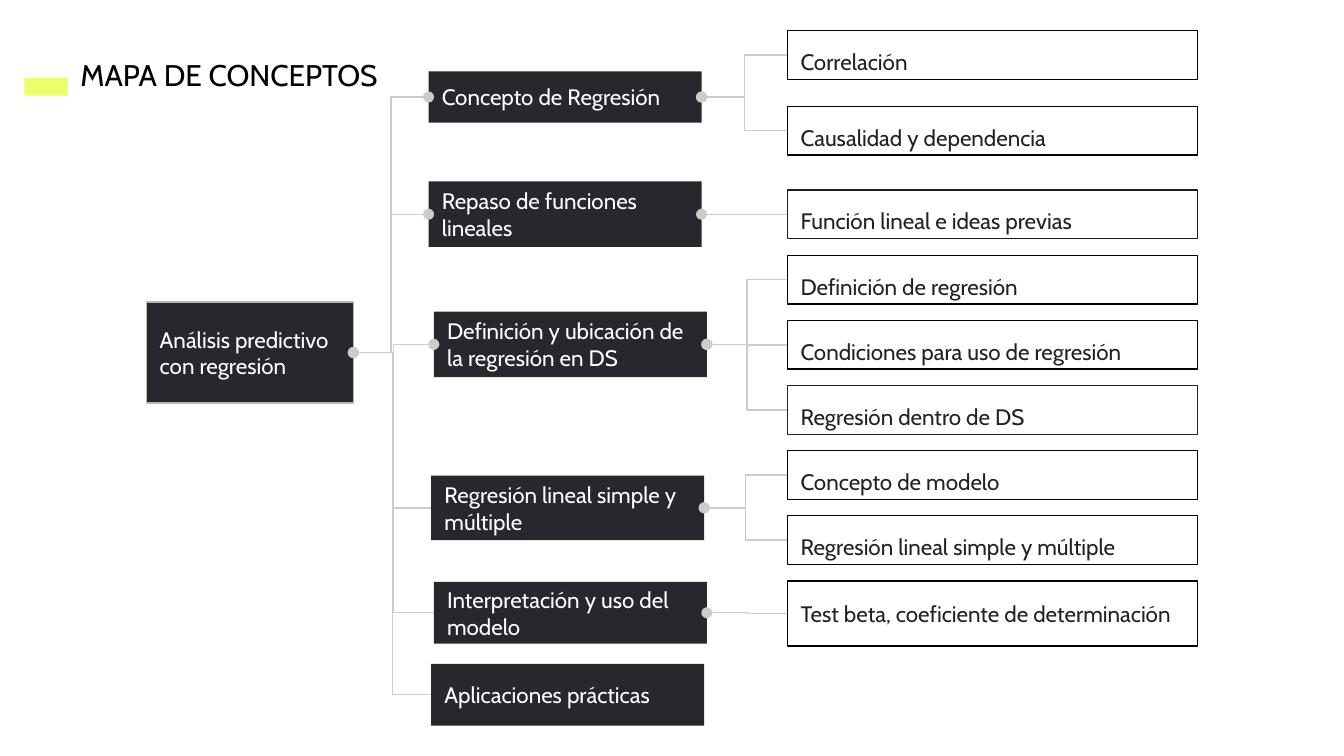
from pptx import Presentation
from pptx.dml.color import RGBColor
from pptx.enum.shapes import MSO_CONNECTOR, MSO_SHAPE
from pptx.enum.text import MSO_ANCHOR, MSO_AUTO_SIZE, PP_ALIGN
from pptx.oxml.ns import qn
from pptx.util import Cm, Pt
from lxml.etree import SubElement

DARK = RGBColor(0x27, 0x28, 0x2D)
WHITE = RGBColor(0xFF, 0xFF, 0xFF)
BLACK = RGBColor(0, 0, 0)
INK = RGBColor(0x22, 0x22, 0x22)
SOOT = RGBColor(0x1D, 0x1C, 0x1D)
GRAY = RGBColor(0xCC, 0xCC, 0xCC)
EDGE = RGBColor(0xB7, 0xB7, 0xB7)
LIME = RGBColor(0xEA, 0xFF, 0x6A)

LEFT, RIGHT = 1, 3  # sides of a box
PLAIN = {"alignment": PP_ALIGN.LEFT}
LOOSE = {"alignment": PP_ALIGN.JUSTIFY, "line_spacing": 1.5,
         "space_after": Pt(10)}
FRAME = {"word_wrap": True, "margin_left": Cm(0.25), "margin_right": Cm(0.25),
         "margin_top": Cm(0.25), "margin_bottom": Cm(0.25)}


def apply(item, form):
    for key, value in form.items():
        setattr(item, key, value)


class Sketch:
    font = "Cabin"
    line = Pt(0.75)

    def __init__(self, slide):
        self.slide = slide

    def label(self, shape, text, color, size=12, para=PLAIN, **frame):
        body = shape.text_frame
        apply(body, {**FRAME, **frame})
        first = body.paragraphs[0]
        apply(first, para)
        run = first.add_run()
        run.text = text
        apply(run.font, {"name": self.font, "size": Pt(size)})
        run.font.color.rgb = color

    def block(self, x, y, wide, high, fill, edge=None):
        shape = self.slide.shapes.add_shape(
            MSO_SHAPE.RECTANGLE, Cm(x), Cm(y), Cm(wide), Cm(high))
        shape.shadow.inherit = False
        shape.fill.solid()
        shape.fill.fore_color.rgb = fill
        if edge is None:
            shape.line.fill.background()
        else:
            shape.line.color.rgb = edge
            shape.line.width = self.line
        return shape

    def box(self, text, place, fill, color, edge=None, para=PLAIN):
        shape = self.block(*place, fill, edge)
        self.label(shape, text, color, para=para,
                   vertical_anchor=MSO_ANCHOR.MIDDLE)
        return shape

    def title(self, text, x, y, wide, high):
        shape = self.slide.shapes.add_textbox(
            Cm(x), Cm(y), Cm(wide), Cm(high))
        self.label(shape, text, BLACK, 16,
                   auto_size=MSO_AUTO_SIZE.SHAPE_TO_FIT_TEXT)

    def link(self, start, side, end, goal):
        """Elbow line with a dot where it ends."""
        wire = self.slide.shapes.add_connector(MSO_CONNECTOR.ELBOW, 0, 0, 0, 0)
        wire.begin_connect(start, side)
        wire.end_connect(end, goal)
        wire.line.color.rgb = GRAY
        wire.line.width = self.line
        props = wire._element.spPr
        SubElement(props.find(qn("a:ln")), qn("a:tailEnd"), type="oval")
        SubElement(props, qn("a:effectLst"))


# Topics: text, left, top, height, dot on the topic, leaves
# Leaves: text, top, edge
STEP = 1.23
rows = [4.83 + STEP * i for i in range(6)]
TOPICS = [
    ("Concepto de Regresión", 8.1, 1.35, 0.97, True,
     [("Correlación", 0.58, BLACK),
      ("Causalidad y dependencia", 2.01, BLACK)]),
    ("Repaso de funciones lineales", 8.1, 3.43, 1.24, True,
     [("Función lineal e ideas previas", 3.59, SOOT)]),
    ("Definición y ubicación de la regresión en DS", 8.2, 5.89, 1.24, True,
     [("Definición de regresión", rows[0], BLACK),
      ("Condiciones para uso de regresión", rows[1], BLACK),
      ("Regresión dentro de DS", rows[2], INK)]),
    ("Regresión lineal simple y múltiple", 8.15, 8.99, 1.22, False,
     [("Concepto de modelo", rows[3], BLACK),
      ("Regresión lineal simple y múltiple", rows[4], BLACK)]),
    ("Interpretación y uso del modelo", 8.2, 11, 1.17, False,
     [("Test beta, coeficiente de determinación", rows[5], BLACK)]),
    ("Aplicaciones prácticas", 8.15, 12.55, 1.17, False, []),
]


def main():
    deck = Presentation()
    deck.slide_width, deck.slide_height = Cm(25.4), Cm(14.29)
    art = Sketch(deck.slides.add_slide(deck.slide_layouts[6]))

    # Heading
    art.block(0.46, 1.48, 0.82, 0.33, LIME)
    art.title("MAPA DE CONCEPTOS", 1.27, 0.82, 6.83, 1.18)

    # Root of the map
    root = art.box("Análisis predictivo con regresión",
                   (2.77, 5.71, 3.91, 1.91), DARK, WHITE, EDGE)

    # Topics with their leaves
    for text, x, y, high, dot, leaves in TOPICS:
        topic = art.box(text, (x, y, 5.16, high), DARK, WHITE)
        if dot:
            art.link(root, RIGHT, topic, LEFT)
        else:
            art.link(topic, LEFT, root, RIGHT)
        for name, top, edge in leaves:
            last = top == rows[-1]
            leaf = art.box(name, (14.88, top, 7.75, 1.23 if last else 0.92),
                           WHITE, INK, edge, PLAIN if last else LOOSE)
            art.link(leaf, LEFT, topic, RIGHT)

    deck.save("out.pptx")


if __name__ == "__main__":
    main()
